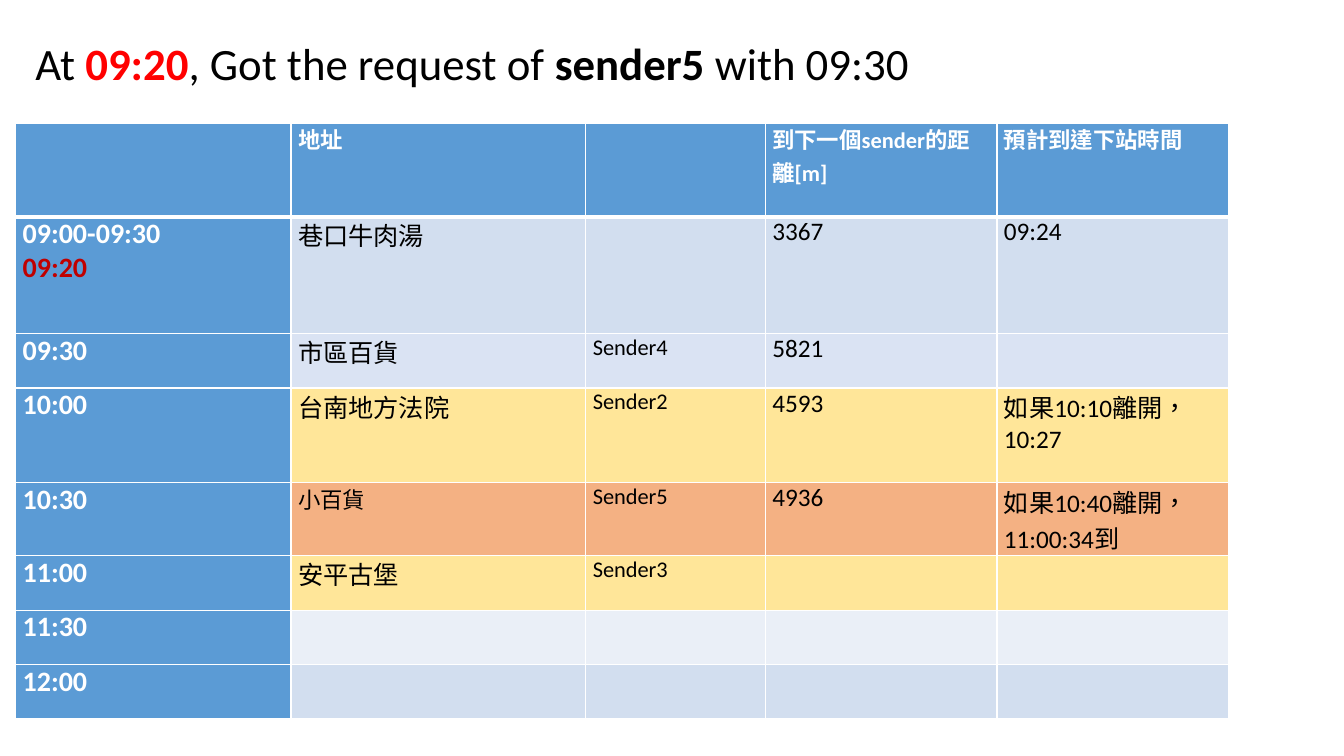
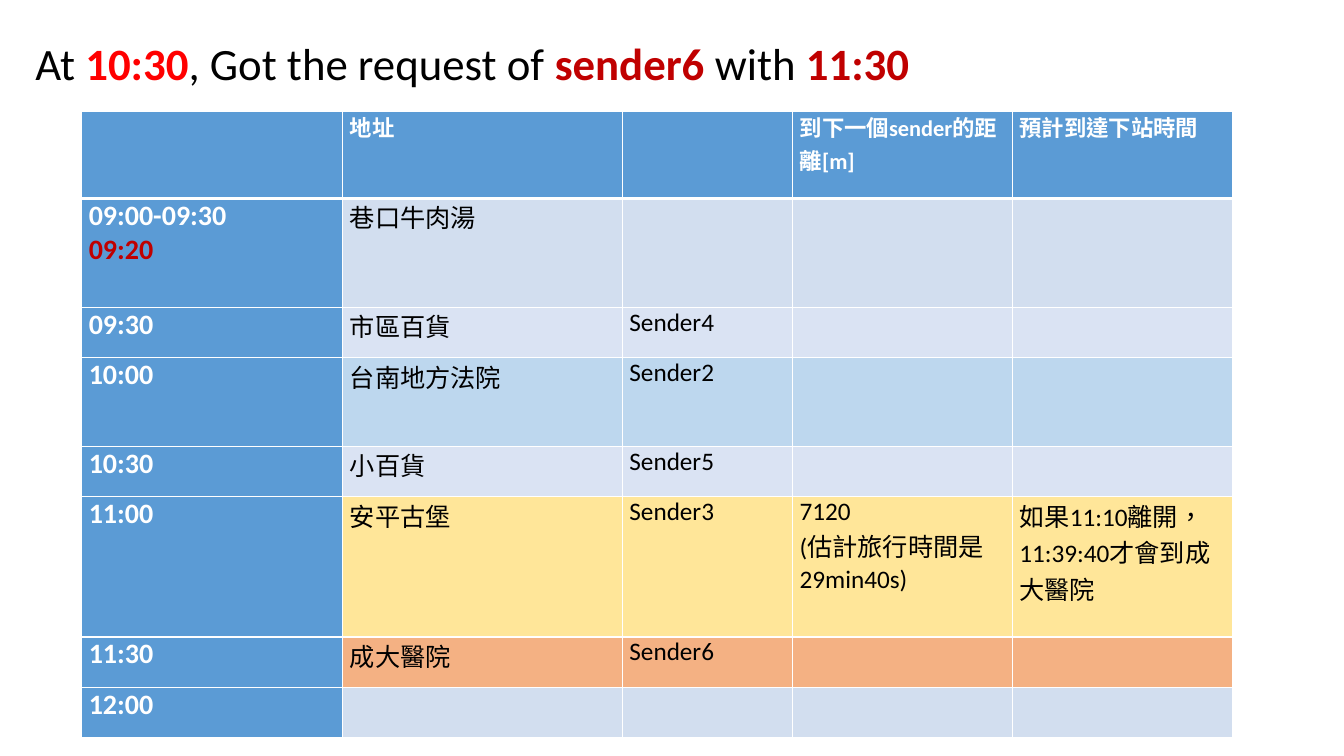
"""Build two delivery schedule slides, each with a title and a timetable."""
from lxml import etree
from pptx import Presentation
from pptx import util as u
from pptx.dml import color
from pptx.enum import text
from pptx.oxml import ns

WIDTH, HEIGHT = u.Inches(13.33), u.Inches(7.5)
COLOURS = {
    "black": "000000", "white": "FFFFFF", "red": "FF0000", "dark red": "C00000",
    "header": "5B9BD5", "band": "D2DEEF", "light band": "EAEFF7", "pending": "DAE3F3",
    "visited": "BDD7EE", "next": "FFE699", "new": "F4B183",
}
COLUMN_SHARES = (22.7, 24.3, 14.8, 19.1, 19.1)
HEADINGS = ("", "地址", "", "到下一個sender的距離[m]", "預計到達下站時間")
FIRST_STOP = "09:00-09:30\n09:20"
TITLE_BOX = (1.88, 1.87, 86.25, 12.8)
CELL_MARGINS = {"margin_left": u.Inches(0.07), "margin_right": u.Inches(0.07),
                "margin_top": 0, "margin_bottom": 0}


def across(percent):
    """Return a percentage of the slide width."""
    return u.Emu(round(WIDTH * percent / 100))


def down(percent):
    """Return a percentage of the slide height."""
    return u.Emu(round(HEIGHT * percent / 100))


def set_all(target, values):
    """Set every attribute in a dict of format values."""
    for name, value in values.items():
        setattr(target, name, value)


def rgb(name):
    """Return a named colour."""
    return color.RGBColor.from_string(COLOURS[name])


def add_run(paragraph, words, size, colour="black", bold=False):
    """Add one formatted run of text."""
    run = paragraph.add_run()
    run.text = words
    set_all(run.font, {"name": "Calibri", "size": u.Pt(size), "bold": bold})
    run.font.color.rgb = rgb(colour)
    run._r.get_or_add_rPr().set("lang", "zh-TW")


def write_title(slide, runs):
    """Place the title and fill it with (words, colour, bold) runs."""
    title = slide.shapes.title
    left, top, width, height = TITLE_BOX
    set_all(title, {"left": across(left), "top": down(top),
                    "width": across(width), "height": down(height)})
    set_all(title.text_frame, {"word_wrap": True, "auto_size": text.MSO_AUTO_SIZE.NONE,
                               "vertical_anchor": text.MSO_ANCHOR.MIDDLE})
    paragraph = title.text_frame.paragraphs[0]
    paragraph.alignment = text.PP_ALIGN.LEFT
    for words, colour, bold in runs:
        add_run(paragraph, words, 32, colour, bold)


def add_borders(cell, top, bottom):
    """Draw white cell borders, with top and bottom widths in points."""
    properties = cell._tc.get_or_add_tcPr()
    for side, width in (("L", 1), ("R", 1), ("T", top), ("B", bottom)):
        line = etree.SubElement(properties, ns.qn(f"a:ln{side}"), w=str(u.Pt(width)))
        fill = etree.SubElement(line, ns.qn("a:solidFill"))
        etree.SubElement(fill, ns.qn("a:srgbClr"), val=COLOURS["white"])


def write_cell(cell, words, size, fill, strong):
    """Fill a cell; further lines of a strong cell are dark red."""
    set_all(cell, CELL_MARGINS)
    cell.fill.solid()
    cell.fill.fore_color.rgb = rgb(fill)
    for index, line in enumerate(words.split("\n") if words else []):
        frame = cell.text_frame
        paragraph = frame.add_paragraph() if index else frame.paragraphs[0]
        colour = ("dark red" if index else "white") if strong else "black"
        add_run(paragraph, line, size, colour, strong)


def add_timetable(slide, left, top, width, header_height, sender_size, stops):
    """Add a timetable of (height, fill, texts) stops; a text may carry its size."""
    rows = [(header_height, "header", HEADINGS), *stops]
    total = down(sum(height for height, _, _ in rows))
    table = slide.shapes.add_table(len(rows), len(COLUMN_SHARES), across(left), down(top),
                                   across(width), total).table
    set_all(table, {"first_row": False, "horz_banding": False})
    for column, share in zip(table.columns, COLUMN_SHARES):
        column.width = across(width * share / 100)
    for row_index, (height, fill, texts) in enumerate(rows):
        table.rows[row_index].height = down(height)
        is_header = row_index == 0
        sizes = (16,) * 5 if is_header else (20, 18, sender_size, 18, 18)
        for column_index, size in enumerate(sizes):
            words = texts[column_index] if column_index < len(texts) else ""
            if isinstance(words, tuple):
                words, size = words
            strong = is_header or column_index == 0
            cell = table.cell(row_index, column_index)
            add_borders(cell, 3 if row_index == 1 else 1, 3 if is_header else 1)
            write_cell(cell, words, size, "header" if strong else fill, strong)


def add_slide(presentation, title_runs, **timetable):
    """Add a slide with a title and a timetable."""
    slide = presentation.slides.add_slide(presentation.slide_layouts[5])
    write_title(slide, title_runs)
    add_timetable(slide, **timetable)


def main():
    """Build and save the presentation."""
    presentation = Presentation()
    set_all(presentation, {"slide_width": WIDTH, "slide_height": HEIGHT})
    add_slide(
        presentation,
        [("At ", "black", False), ("09:20", "red", True),
         (", Got the request of ", "black", False), ("sender5 ", "black", True),
         ("with 09:30", "black", False)],
        left=1.17, top=16.27, width=90.25, header_height=12.4, sender_size=16,
        stops=[
            (15.47, "band", (FIRST_STOP, "巷口牛肉湯", "", "3367", "09:24")),
            (7.2, "pending", ("09:30", "市區百貨", "Sender4", "5821")),
            (12.53, "next", ("10:00", "台南地方法院", "Sender2", "4593", "如果10:10離開，10:27")),
            (7.2, "new", ("10:30", ("小百貨", 16), "Sender5", "4936", "如果10:40離開，11:00:34到")),
            (7.2, "next", ("11:00", "安平古堡", "Sender3")),
            (7.2, "light band", ("11:30",)),
            (7.2, "band", ("12:00",)),
        ])
    add_slide(
        presentation,
        [("At ", "black", False), ("10:30", "red", True),
         (", Got the request of ", "black", False), ("sender6 ", "dark red", True),
         ("with ", "black", False), ("11:30", "dark red", True)],
        left=6.08, top=14.67, width=85.6, header_height=11.6, sender_size=18,
        stops=[
            (14.4, "band", (FIRST_STOP, "巷口牛肉湯")),
            (6.67, "pending", ("09:30", "市區百貨", "Sender4")),
            (11.73, "visited", ("10:00", "台南地方法院", "Sender2")),
            (6.67, "pending", ("10:30", "小百貨", "Sender5")),
            (18.53, "next", ("11:00", "安平古堡", "Sender3", "7120\n(估計旅行時間是29min40s)",
                             "如果11:10離開，11:39:40才會到成大醫院")),
            (6.67, "new", ("11:30", "成大醫院", "Sender6")),
            (6.67, "band", ("12:00",)),
        ])
    presentation.save("out.pptx")


if __name__ == "__main__":
    main()
